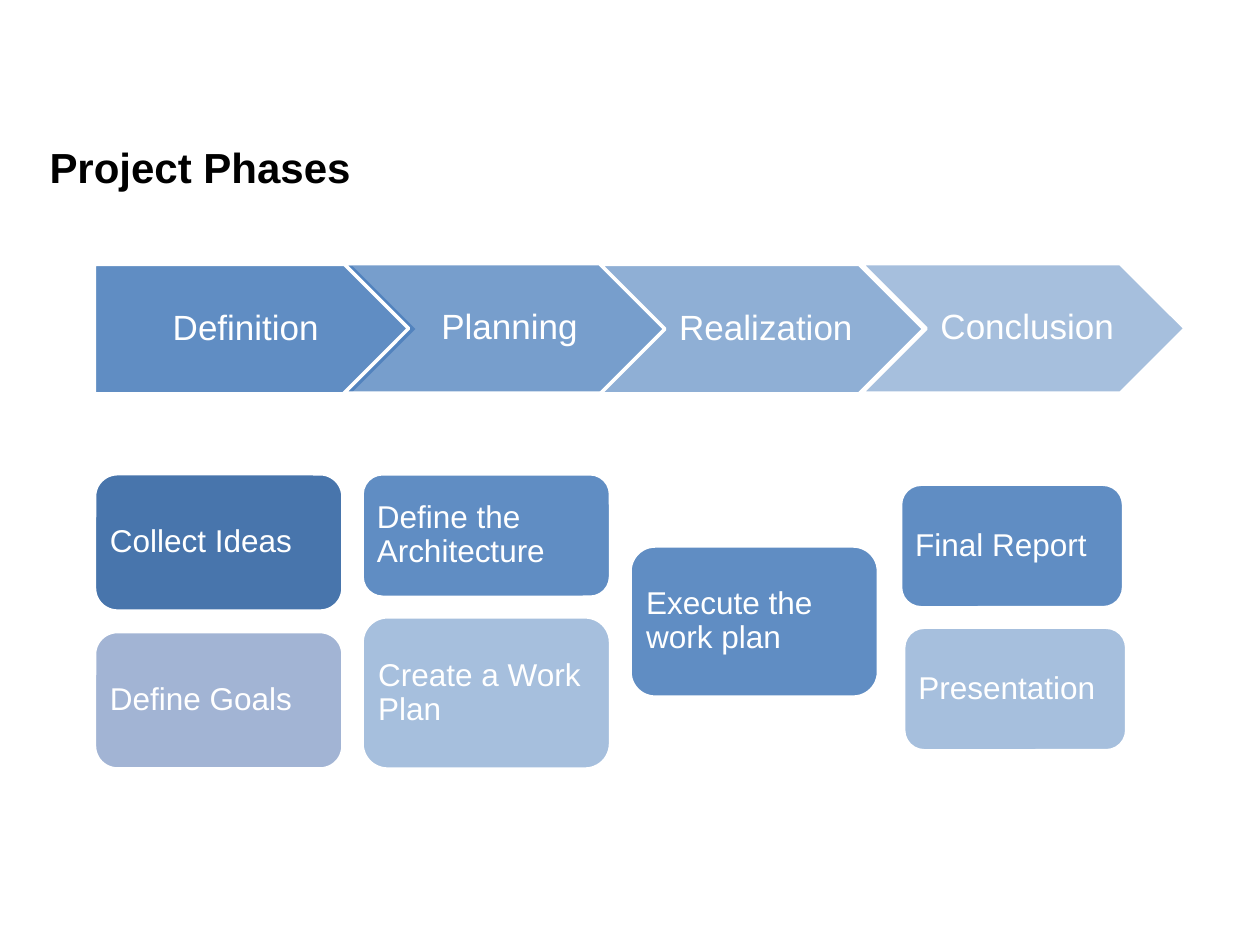
import pptx
import pptx.util
import pptx.dml.color
import pptx.enum.shapes
import pptx.enum.text
import pptx.oxml.ns
import lxml.etree

Pt = pptx.util.Pt
KIND = pptx.enum.shapes.MSO_SHAPE
ALIGN = pptx.enum.text.PP_ALIGN
MIDDLE = pptx.enum.text.MSO_ANCHOR.MIDDLE

COLORS = {"blue": "4F81BD", "deep": "4875AC", "pale": "A2B4D4",
          "white": "FFFFFF", "black": "000000"}


class Deck:
    font = "Arial"

    def __init__(self, wide, high):
        self.prs = pptx.Presentation()
        self.prs.slide_width, self.prs.slide_height = Pt(wide), Pt(high)
        self.slide = self.prs.slides.add_slide(self.prs.slide_layouts[5])

    def color(self, name):
        return pptx.dml.color.RGBColor.from_string(COLORS[name])

    def label(self, shape, text, size, color, inset, align, lead, bold=False):
        frame = shape.text_frame
        frame.text = text
        frame.word_wrap = True
        frame.auto_size = pptx.enum.text.MSO_AUTO_SIZE.NONE
        frame.vertical_anchor = MIDDLE
        (frame.margin_left, frame.margin_top,
         frame.margin_right, frame.margin_bottom) = map(Pt, inset)
        para = frame.paragraphs[0]
        para.alignment = align
        para.line_spacing = lead
        para.font.name, para.font.size = self.font, Pt(size)
        para.font.bold = bold
        para.font.color.rgb = self.color(color)

    def title(self, text, left, top, width, height):
        shape = self.slide.shapes.title
        shape.left, shape.top = Pt(left), Pt(top)
        shape.width, shape.height = Pt(width), Pt(height)
        self.label(shape, text, 24, "black", (0, 0, 0, 0), ALIGN.LEFT, 1.25, True)

    def block(self, kind, area, fill, alpha):
        shape = self.slide.shapes.add_shape(kind, *map(Pt, area))
        shape.shadow.inherit = False
        shape.fill.solid()
        shape.fill.fore_color.rgb = self.color(fill)
        if alpha < 100:
            props = shape.element.spPr
            tag = props.find(".//" + pptx.oxml.ns.qn("a:srgbClr"))
            lxml.etree.SubElement(tag, pptx.oxml.ns.qn("a:alpha"),
                                  val=str(alpha * 1000))
        shape.line.color.rgb = self.color("white")
        shape.line.width = Pt(2)
        return shape

    def phase(self, text, kind, left, top, alpha, pad):
        shape = self.block(kind, (left, top, 185, 74), "blue", alpha)
        self.label(shape, text, 20, "white", (pad, 4.5, 2, 4.5), ALIGN.CENTER, 0.9)

    def task(self, text, area, fill, alpha):
        shape = self.block(KIND.ROUNDED_RECTANGLE, area, fill, alpha)
        self.label(shape, text, 18, "white", (5, 5, 5, 5), ALIGN.LEFT, 0.9)


def main():
    deck = Deck(720, 540)
    deck.title("Project Phases", 28.3, 77.8, 584.6, 28)

    # Tasks of the first phase
    deck.task("Collect Ideas", (54, 270.7, 142, 78.5), "deep", 100)
    deck.task("Define Goals", (54, 360.9, 142, 78.5), "pale", 100)

    # Row of phases
    for text, kind, left, top, alpha, pad in (
            ("Definition", KIND.PENTAGON, 54, 151, 90, 8.5),
            ("Planning", KIND.CHEVRON, 196.5, 150.7, 77, 6.5),
            ("Realization", KIND.CHEVRON, 343, 151, 63, 6.5),
            ("Conclusion", KIND.CHEVRON, 492.3, 150.7, 50, 6.5)):
        deck.phase(text, kind, left, top, alpha, pad)

    # Tasks of the later phases
    for text, area, alpha in (
            ("Execute the work plan", (360, 312, 142, 86.4), 90),
            ("Final Report", (514.6, 276.7, 127.5, 70.6), 90),
            ("Presentation", (516.4, 358.4, 127.5, 70.6), 50),
            ("Define the Architecture", (206.9, 270.7, 142, 70.6), 90),
            ("Create a Work Plan", (206.9, 352.5, 142, 87), 50)):
        deck.task(text, area, "blue", alpha)

    deck.prs.save("out.pptx")


if __name__ == "__main__":
    main()
